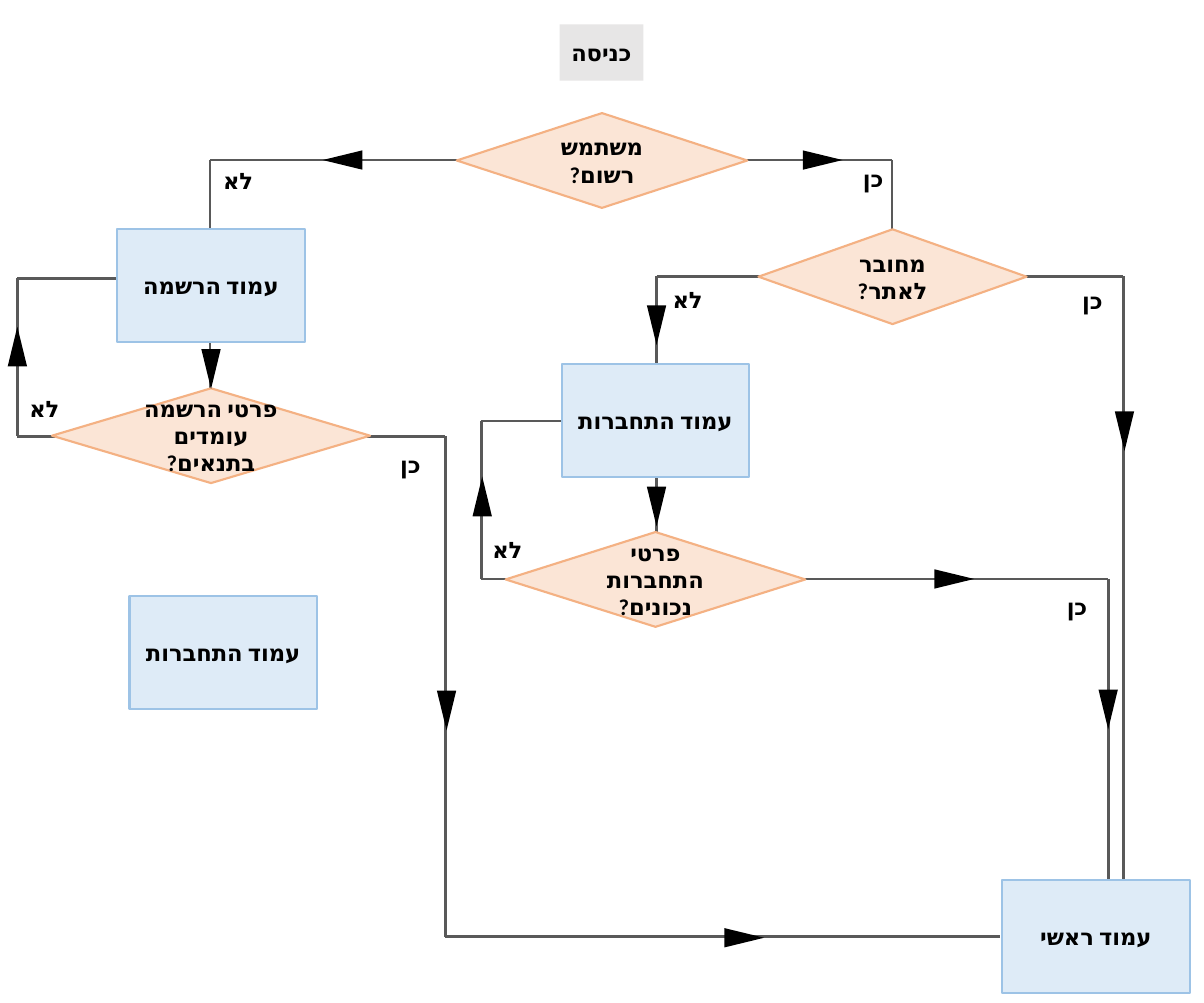
from dataclasses import dataclass

from lxml import etree
from pptx import Presentation
from pptx.dml.color import RGBColor
from pptx.enum.lang import MSO_LANGUAGE_ID
from pptx.enum.shapes import MSO_CONNECTOR, MSO_SHAPE
from pptx.enum.text import MSO_ANCHOR, PP_ALIGN
from pptx.oxml.ns import qn
from pptx.util import Inches, Pt

RECTANGLE, DIAMOND = MSO_SHAPE.RECTANGLE, MSO_SHAPE.DIAMOND
TRIANGLE = MSO_SHAPE.ISOSCELES_TRIANGLE
STRAIGHT = MSO_CONNECTOR.STRAIGHT
CENTER, MIDDLE = PP_ALIGN.CENTER, MSO_ANCHOR.MIDDLE
HEBREW = MSO_LANGUAGE_ID.HEBREW
UP, RIGHT, DOWN, LEFT = 0, 90, 180, 270


@dataclass(frozen=True)
class Theme:
    font: str = "Calibri"
    size: int = 16
    ink: str = "000000"
    route: str = "595959"
    route_width: float = 2
    border_width: float = 1.5
    entry: str = "E7E6E6"
    page: str = "DEEBF7"
    page_border: str = "9DC3E6"
    question: str = "FBE5D6"
    question_border: str = "F4B183"


THEME = Theme()
PAGE_SIZE = (1.84, 1.11)
QUESTION_HEIGHT = 0.93
ANSWER_SIZE = (0.91, 0.55)
ARROW_SIZE = (0.19, 0.39)
YES, NO = "כן", "לא"

# Each route is a chain of corner points
ROUTES = [
    [(2.06, 4.25), (2.06, 1.57), (8.75, 1.57), (8.75, 2.62)],
    [(1.93, 2.73), (0.17, 2.73), (0.17, 4.28), (4.37, 4.28), (4.37, 9.19), (9.81, 9.19)],
    [(6.44, 5.59), (6.44, 2.71), (11.02, 2.71), (11.02, 8.75)],
    [(6.48, 4.13), (4.72, 4.13), (4.72, 5.68), (10.87, 5.68), (10.87, 9.02)],
]
# Text, left, top
PAGES = [
    ("עמוד הרשמה", 1.15, 2.25),
    ("עמוד התחברות", 5.51, 3.57),
    ("עמוד ראשי", 9.83, 8.63),
    ("עמוד התחברות", 1.27, 5.85),
]
# Text, left, top, width
QUESTIONS = [
    ("משתמש רשום?", 4.48, 1.11, 2.85),
    ("מחובר לאתר?", 7.44, 2.25, 2.63),
    ("פרטי התחברות נכונים?", 4.96, 5.22, 2.94),
    ("פרטי הרשמה עומדים בתנאים?", 0.51, 3.81, 3.12),
]
ANSWERS = [
    (YES, 8.11, 1.48), (NO, 1.88, 1.5), (YES, 10.26, 2.67), (NO, 6.29, 2.66),
    (YES, 10.11, 5.67), (YES, 3.57, 4.28), (NO, 4.52, 5.12), (NO, -0.02, 3.73),
]
# Centre x, centre y, direction
ARROWS = [
    (0.17, 3.4, UP), (9.36, 5.68, RIGHT), (8.07, 1.57, RIGHT), (3.36, 1.57, LEFT),
    (11.03, 4.23, DOWN), (6.44, 3.19, DOWN), (6.44, 4.97, DOWN), (4.73, 4.87, UP),
    (10.87, 6.96, DOWN), (4.38, 6.97, DOWN), (2.07, 3.62, DOWN), (7.3, 9.2, RIGHT),
]


def rgb(color):
    return RGBColor.from_string(color)


def write(frame, text, *, size=THEME.size, color=THEME.ink, bold=True):
    """Fill a frame with centred right-to-left text."""
    frame.word_wrap = True
    frame.vertical_anchor = MIDDLE
    frame.margin_left = frame.margin_right = frame.margin_top = frame.margin_bottom = 0
    paragraph = frame.paragraphs[0]
    paragraph.alignment = CENTER
    paragraph._p.get_or_add_pPr().set("rtl", "1")
    run = paragraph.add_run()
    run.text = text
    font = run.font
    font.size, font.bold, font.name = Pt(size), bold, THEME.font
    font.color.rgb = rgb(color)
    font.language_id = HEBREW
    # Hebrew takes its typeface from the complex-script slot
    etree.SubElement(run._r.get_or_add_rPr(), qn("a:cs")).set("typeface", THEME.font)


def add_block(slide, kind, box, fill, border=None, text=None):
    block = slide.shapes.add_shape(kind, *map(Inches, box))
    block.shadow.inherit = False
    block.fill.solid()
    block.fill.fore_color.rgb = rgb(fill)
    if border:
        block.line.color.rgb = rgb(border)
        block.line.width = Pt(THEME.border_width)
    else:
        block.line.fill.background()
    if text:
        write(block.text_frame, text)
    return block


def add_route(slide, corners):
    for start, end in zip(corners, corners[1:]):
        leg = slide.shapes.add_connector(STRAIGHT, *map(Inches, start + end))
        leg.line.color.rgb = rgb(THEME.route)
        leg.line.width = Pt(THEME.route_width)
        etree.SubElement(leg._element.spPr, qn("a:effectLst"))


def add_answer(slide, text, left, top):
    answer = slide.shapes.add_textbox(*map(Inches, (left, top, *ANSWER_SIZE)))
    write(answer.text_frame, text)


def add_arrow(slide, x, y, direction):
    width, height = ARROW_SIZE
    box = (x - width / 2, y - height / 2, width, height)
    add_block(slide, TRIANGLE, box, THEME.ink).rotation = direction


def main():
    deck = Presentation()
    deck.slide_width, deck.slide_height = Inches(11.81), Inches(9.84)
    slide = deck.slides.add_slide(deck.slide_layouts[6])

    # Routes lie behind the steps
    for corners in ROUTES:
        add_route(slide, corners)

    # Steps of the flow
    add_block(slide, RECTANGLE, (5.49, 0.24, 0.82, 0.55), THEME.entry, text="כניסה")
    for text, left, top in PAGES:
        add_block(slide, RECTANGLE, (left, top, *PAGE_SIZE),
                  THEME.page, THEME.page_border, text)
    for text, left, top, width in QUESTIONS:
        add_block(slide, DIAMOND, (left, top, width, QUESTION_HEIGHT),
                  THEME.question, THEME.question_border, text)

    # Answers and directions
    for answer in ANSWERS:
        add_answer(slide, *answer)
    for arrow in ARROWS:
        add_arrow(slide, *arrow)

    deck.save("out.pptx")


main()
